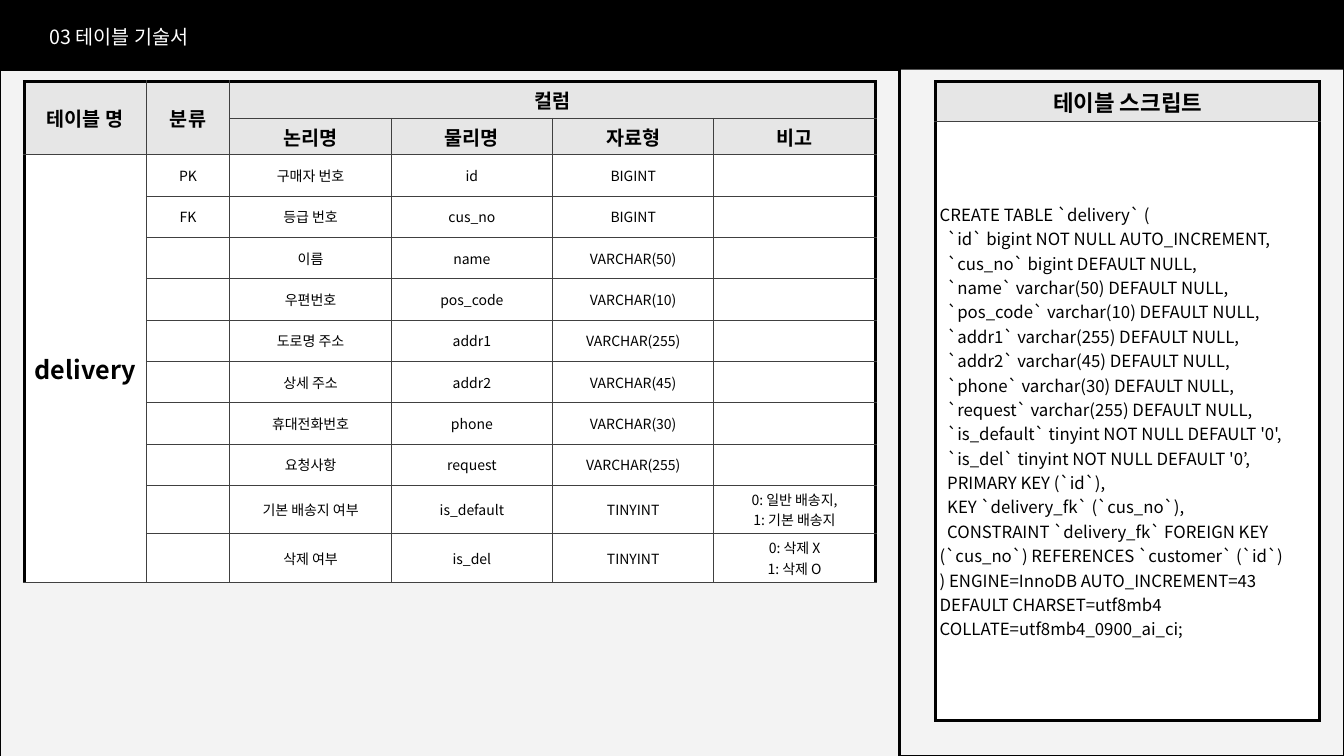
from lxml.etree import SubElement
from pptx import Presentation
from pptx.dml.color import RGBColor
from pptx.enum.shapes import MSO_SHAPE
from pptx.enum.text import MSO_ANCHOR, PP_ALIGN
from pptx.oxml import parse_xml
from pptx.oxml.ns import nsdecls, qn
from pptx.util import Inches, Pt

FONT = "Noto Sans CJK KR"
BLACK = RGBColor(0x00, 0x00, 0x00)
WHITE = RGBColor(0xFF, 0xFF, 0xFF)
PAPER = RGBColor(0xF3, 0xF3, 0xF3)
HEAD = RGBColor(0xE6, 0xE6, 0xE6)
GRID = RGBColor(0x40, 0x40, 0x40)


def write(tf, lines, size, color=BLACK, bold=False, align=PP_ALIGN.LEFT):
    for i, line in enumerate(lines):
        p = tf.paragraphs[0] if i == 0 else tf.add_paragraph()
        p.alignment = align
        if not line:
            SubElement(p._p, qn("a:endParaRPr"), sz=str(size * 100))
            continue
        r = p.add_run()
        r.text = line
        r.font.size, r.font.bold = Pt(size), bold
        r.font.color.rgb = color
        r.font.name = FONT
        SubElement(r.font._element, qn("a:ea"), typeface=FONT)


def style_cell(cell, fill, thick_sides):
    cell.fill.solid()
    cell.fill.fore_color.rgb = fill
    cell.vertical_anchor = MSO_ANCHOR.MIDDLE
    cell.margin_left = cell.margin_right = Inches(0.04)
    cell.margin_top = cell.margin_bottom = Inches(0.04)
    for i, side in enumerate("LRTB"):
        width, color = (2.25, BLACK) if side in thick_sides else (0.75, GRID)
        cell._tc.get_or_add_tcPr().insert(i, parse_xml(
            f'<a:ln{side} {nsdecls("a")} w="{Pt(width)}"><a:solidFill>'
            f'<a:srgbClr val="{color}"/></a:solidFill></a:ln{side}>'))


prs = Presentation()
prs.slide_width, prs.slide_height = Inches(13.33), Inches(7.5)
s = prs.slides.add_slide(prs.slide_layouts[6])
s.background.fill.solid()
s.background.fill.fore_color.rgb = PAPER

# Header band and the two outlined panels
for box, filled in [((0, 0, 13.33, 0.69), True),
                    ((0, 0.69, 8.92, 6.82), False),
                    ((8.93, 0.39, 4.4, 7.11), False)]:
    sp = s.shapes.add_shape(MSO_SHAPE.RECTANGLE, *map(Inches, box))
    sp.shadow.inherit = False
    if filled:
        sp.fill.solid()
        sp.fill.fore_color.rgb = BLACK
        sp.line.fill.background()
    else:
        sp.fill.background()
        sp.line.color.rgb = BLACK
        sp.line.width = Pt(1.5)

# Column description table
rows = [
    ["테이블 명", "분류", "컬럼", "", "", ""],
    ["", "", "논리명", "물리명", "자료형", "비고"],
    ["delivery", "PK", "구매자 번호", "id", "BIGINT", ""],
    ["", "FK", "등급 번호", "cus_no", "BIGINT", ""],
    ["", "", "이름", "name", "VARCHAR(50)", ""],
    ["", "", "우편번호", "pos_code", "VARCHAR(10)", ""],
    ["", "", "도로명 주소", "addr1", "VARCHAR(255)", ""],
    ["", "", "상세 주소", "addr2", "VARCHAR(45)", ""],
    ["", "", "휴대전화번호", "phone", "VARCHAR(30)", ""],
    ["", "", "요청사항", "request", "VARCHAR(255)", ""],
    ["", "", "기본 배송지 여부", "is_default", "TINYINT", "0: 일반 배송지,\n1: 기본 배송지"],
    ["", "", "삭제 여부", "is_del", "TINYINT", "0: 삭제 X\n1: 삭제 O"],
]
table = s.shapes.add_table(len(rows), 6, Inches(0.24), Inches(0.81),
                           Inches(8.45), Inches(4.79)).table
for col, width in zip(table.columns, [1.21, 0.83, 1.6, 1.6, 1.6, 1.6]):
    col.width = Inches(width)
for top, left, bottom, right in [(0, 0, 1, 0), (0, 1, 1, 1), (0, 2, 0, 5), (2, 0, 11, 0)]:
    table.cell(top, left).merge(table.cell(bottom, right))
for i, row in enumerate(rows):
    is_head = i < 2
    table.rows[i].height = Inches(0.36 if is_head else 0.41)
    for j, text in enumerate(row):
        cell = table.cell(i, j)
        thick = "L" if j == 0 else ""
        thick += "T" if i == 0 else ""
        thick += "R" if j + cell.span_width == 6 else ""
        style_cell(cell, HEAD if is_head else WHITE, thick)
        size = 14 if is_head and text else 18 if text == "delivery" else 10
        write(cell.text_frame, text.split("\n"), size,
              bold=is_head or j == 0, align=PP_ALIGN.CENTER)

# Script table
script = """CREATE TABLE `delivery` (
  `id` bigint NOT NULL AUTO_INCREMENT,
  `cus_no` bigint DEFAULT NULL,
  `name` varchar(50) DEFAULT NULL,
  `pos_code` varchar(10) DEFAULT NULL,
  `addr1` varchar(255) DEFAULT NULL,
  `addr2` varchar(45) DEFAULT NULL,
  `phone` varchar(30) DEFAULT NULL,
  `request` varchar(255) DEFAULT NULL,
  `is_default` tinyint NOT NULL DEFAULT '0',
  `is_del` tinyint NOT NULL DEFAULT '0’,
  PRIMARY KEY (`id`),
  KEY `delivery_fk` (`cus_no`),
  CONSTRAINT `delivery_fk` FOREIGN KEY (`cus_no`) REFERENCES `customer` (`id`)
) ENGINE=InnoDB AUTO_INCREMENT=43 DEFAULT CHARSET=utf8mb4 COLLATE=utf8mb4_0900_ai_ci;"""
table = s.shapes.add_table(2, 1, Inches(9.28), Inches(0.81),
                           Inches(3.81), Inches(6.3)).table
table.rows[0].height, table.rows[1].height = Inches(0.36), Inches(5.94)
title_cell, code_cell = table.cell(0, 0), table.cell(1, 0)
style_cell(title_cell, HEAD, "LRT")
write(title_cell.text_frame, ["테이블 스크립트"], 16, bold=True, align=PP_ALIGN.CENTER)
style_cell(code_cell, WHITE, "LRB")
write(code_cell.text_frame, script.split("\n"), 12)

# Slide title
tf = s.shapes.add_textbox(Inches(0.39), Inches(0.2), Inches(6.67), Inches(0.34)).text_frame
tf.word_wrap = True
write(tf, ["03 테이블 기술서"], 14, WHITE)

prs.save("out.pptx")
